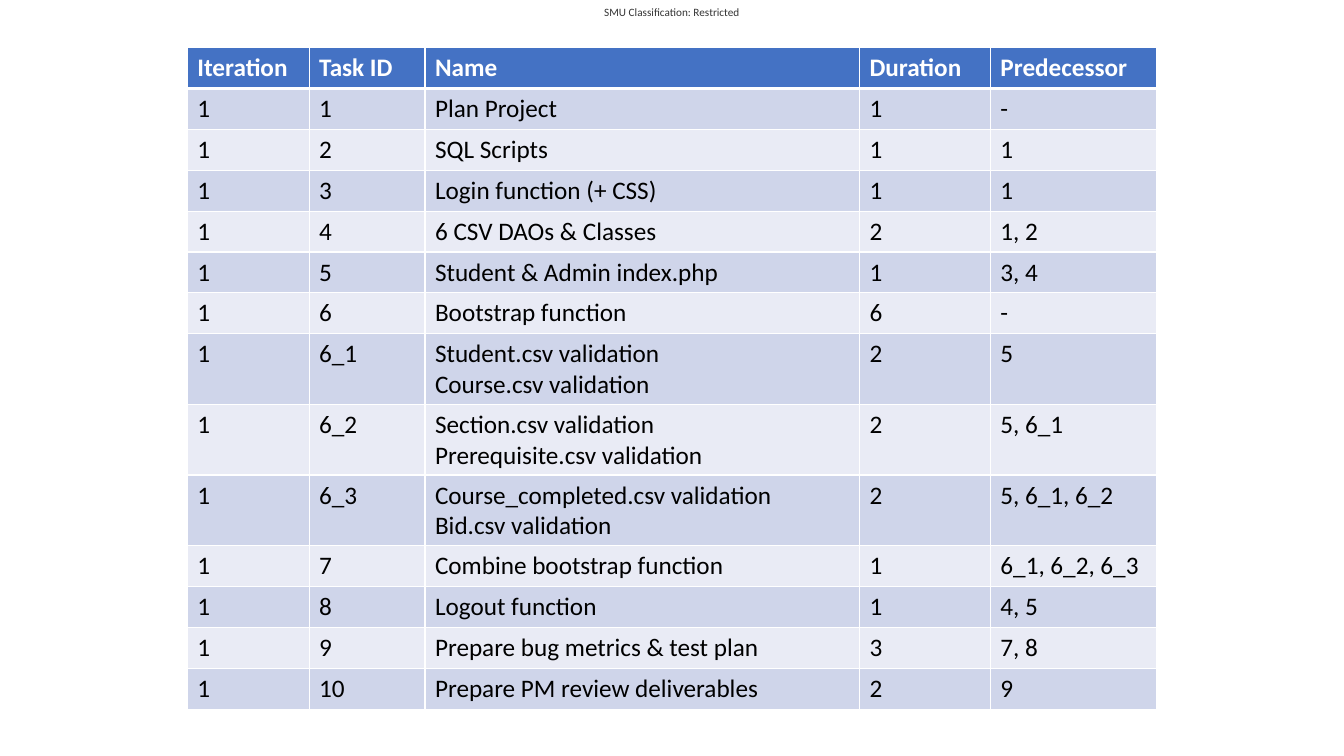
"""Build a one-slide project task schedule as a banded table."""
import pptx
import pptx.dml.color
import pptx.enum.text
import pptx.oxml
import pptx.oxml.ns
import pptx.util
from pptx.util import Cm

CLASSIFICATION = "SMU Classification: Restricted"
HEADINGS = ("Iteration", "Task ID", "Name", "Duration", "Predecessor")
TASKS = [
    ("1", "1", "Plan Project", "1", "-"),
    ("1", "2", "SQL Scripts", "1", "1"),
    ("1", "3", "Login function (+ CSS)", "1", "1"),
    ("1", "4", "6 CSV DAOs & Classes", "2", "1, 2"),
    ("1", "5", "Student & Admin index.php", "1", "3, 4"),
    ("1", "6", "Bootstrap function", "6", "-"),
    ("1", "6_1", "Student.csv validation\nCourse.csv validation", "2", "5"),
    ("1", "6_2", "Section.csv validation\nPrerequisite.csv validation", "2", "5, 6_1"),
    ("1", "6_3", "Course_completed.csv validation\nBid.csv validation", "2", "5, 6_1, 6_2"),
    ("1", "7", "Combine bootstrap function", "1", "6_1, 6_2, 6_3"),
    ("1", "8", "Logout function", "1", "4, 5"),
    ("1", "9", "Prepare bug metrics & test plan", "3", "7, 8"),
    ("1", "10", "Prepare PM review deliverables", "2", "9"),
]


class Theme:
    """Colours, fonts and type sizes of the slide."""
    font = "Calibri"
    header_fill = "4472C4"
    bands = ("CFD5EA", "E9EBF5")
    border = "FFFFFF"
    header_text = "FFFFFF"
    body_text = "000000"
    label_text = "333333"
    table_size = 18
    label_size = 8
    thin, thick = 1, 3


PAGE_WIDTH, PAGE_HEIGHT = 33.87, 19.05
TABLE_LEFT, TABLE_TOP = 4.72, 1.2
COLUMN_WIDTHS = (3.07, 2.92, 10.95, 3.3, 4.19)
ROW_HEIGHTS = {1: 1.03, 2: 1.78}
LABEL_WIDTH, LABEL_HEIGHT = 4.14, 0.63


def apply(target, values):
    """Set each named attribute on the target."""
    for name, value in values.items():
        setattr(target, name, value)


def style_text(frame, size, colour, bold=False):
    """Format every paragraph of a text frame."""
    for para in frame.paragraphs:
        for span in para.runs:
            apply(span.font, {"name": Theme.font, "size": pptx.util.Pt(size), "bold": bold})
            span.font.color.rgb = pptx.dml.color.RGBColor.from_string(colour)


def add_borders(cell, row):
    """Rule a cell in white, with a thick line below the header."""
    widths = {"L": Theme.thin, "R": Theme.thin,
              "T": Theme.thick if row == 1 else Theme.thin,
              "B": Theme.thick if row == 0 else Theme.thin}
    properties = cell._tc.get_or_add_tcPr()
    for side, width in widths.items():
        properties.append(pptx.oxml.parse_xml(
            f'<a:ln{side} {pptx.oxml.ns.nsdecls("a")} w="{pptx.util.Pt(width)}">'
            f'<a:solidFill><a:srgbClr val="{Theme.border}"/></a:solidFill></a:ln{side}>'))


def add_label(page):
    """Place the classification centred at the top edge."""
    box = page.shapes.add_textbox(Cm((PAGE_WIDTH - LABEL_WIDTH) / 2), Cm(0),
                                  Cm(LABEL_WIDTH), Cm(LABEL_HEIGHT))
    frame = box.text_frame
    apply(frame, {"text": CLASSIFICATION, "word_wrap": False, "margin_top": 0, "margin_bottom": 0,
                  "vertical_anchor": pptx.enum.text.MSO_ANCHOR.MIDDLE})
    frame.paragraphs[0].alignment = pptx.enum.text.PP_ALIGN.CENTER
    style_text(frame, Theme.label_size, Theme.label_text)


def add_schedule(page):
    """Place the task table, each row as tall as its longest cell."""
    rows = [HEADINGS, *TASKS]
    heights = [ROW_HEIGHTS[max(text.count("\n") + 1 for text in row)] for row in rows]
    table = page.shapes.add_table(len(rows), len(HEADINGS), Cm(TABLE_LEFT), Cm(TABLE_TOP),
                                  Cm(sum(COLUMN_WIDTHS)), Cm(sum(heights))).table
    for column, width in zip(table.columns, COLUMN_WIDTHS):
        column.width = Cm(width)
    for number, (texts, height) in enumerate(zip(rows, heights)):
        header = number == 0
        fill = Theme.header_fill if header else Theme.bands[(number - 1) % 2]
        colour = Theme.header_text if header else Theme.body_text
        table.rows[number].height = Cm(height)
        for cell, text in zip(table.rows[number].cells, texts):
            cell.text = text
            style_text(cell.text_frame, Theme.table_size, colour, header)
            add_borders(cell, number)
            cell.fill.solid()
            cell.fill.fore_color.rgb = pptx.dml.color.RGBColor.from_string(fill)


def main():
    """Build and save the deck."""
    deck = pptx.Presentation()
    apply(deck, {"slide_width": Cm(PAGE_WIDTH), "slide_height": Cm(PAGE_HEIGHT)})
    page = deck.slides.add_slide(deck.slide_layouts[6])
    add_label(page)
    add_schedule(page)
    deck.save("out.pptx")


if __name__ == "__main__":
    main()
